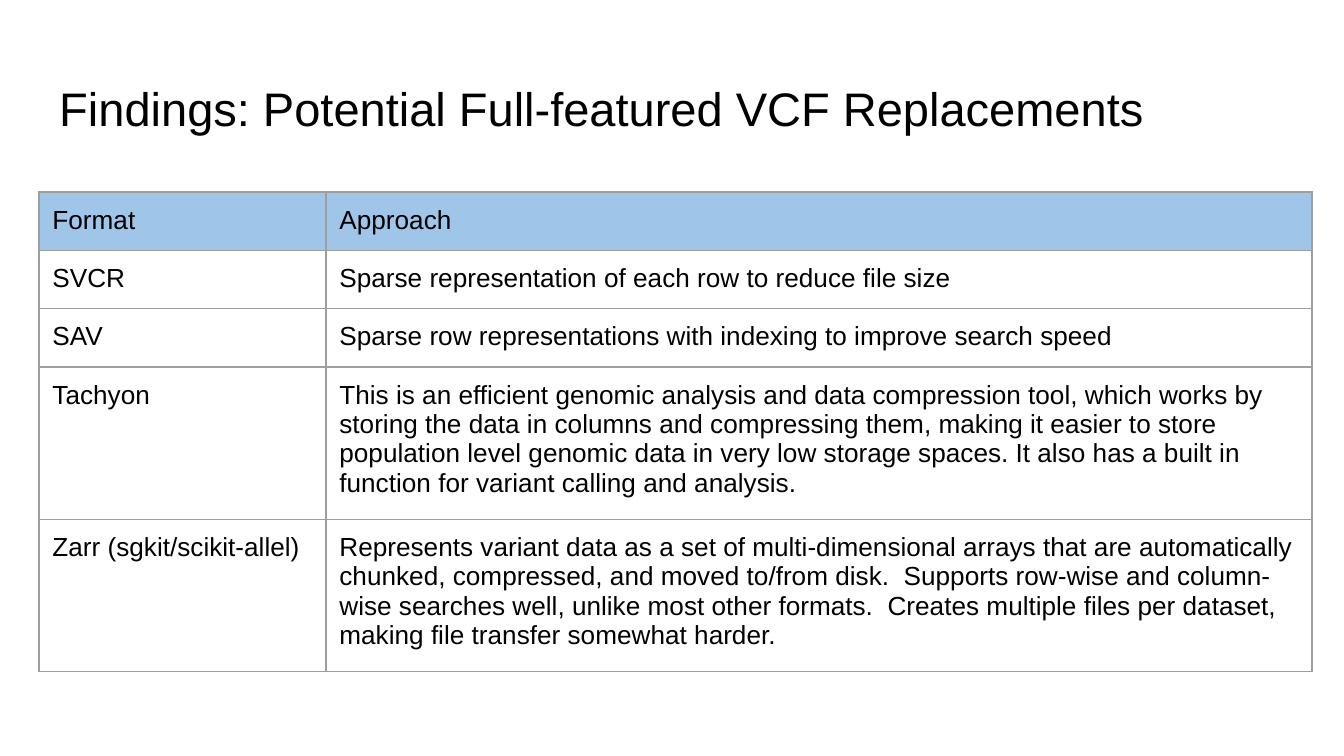
from pptx import Presentation
from pptx.dml.color import RGBColor
from pptx.enum.text import MSO_ANCHOR
from pptx.oxml import parse_xml
from pptx.oxml.ns import nsdecls
from pptx.util import Pt

TOP = MSO_ANCHOR.TOP
SCALE = 914400 / 134.4
PAD = 13.44
INK, HEAD, PLAIN, RULE = "000000", "9FC5E8", "FFFFFF", "9E9E9E"


def px(n):
    return round(n * SCALE)


def put(frame, text, size=14, color=INK, font="Arial"):
    frame.word_wrap = True
    run = frame.paragraphs[0].add_run()
    run.text = text
    run.font.size = Pt(size)
    run.font.name = font
    run.font.color.rgb = RGBColor.from_string(color)


deck = Presentation()
deck.slide_width, deck.slide_height = px(1344), px(756)
slide = deck.slides.add_slide(deck.slide_layouts[6])

# Title
title = slide.shapes.add_textbox(px(46), px(66), px(1252), px(84)).text_frame
title.margin_left = title.margin_right = px(PAD)
title.margin_top = title.margin_bottom = px(PAD)
title.vertical_anchor = TOP
put(title, "Findings: Potential Full-featured VCF Replacements", size=25.2)

# Table of formats
rows = [
    ("Format", "Approach"),
    ("SVCR", "Sparse representation of each row to reduce file size"),
    ("SAV", "Sparse row representations with indexing to improve search speed"),
    ("Tachyon",
     "This is an efficient genomic analysis and data compression tool, which "
     "works by storing the data in columns and compressing them, making it "
     "easier to store population level genomic data in very low storage "
     "spaces. It also has a built in function for variant calling and analysis."),
    ("Zarr (sgkit/scikit-allel)",
     "Represents variant data as a set of multi-dimensional arrays that are "
     "automatically chunked, compressed, and moved to/from disk.  Supports "
     "row-wise and column-wise searches well, unlike most other formats.  "
     "Creates multiple files per dataset, making file transfer somewhat harder."),
]
widths = [287, 986]
heights = [58, 58, 58, 144, 144]
table = slide.shapes.add_table(len(rows), len(widths), px(39), px(192),
                               px(sum(widths)), px(sum(heights))).table
table.horz_banding = False
for col, width in zip(table.columns, widths):
    col.width = px(width)

for r, (row, height) in enumerate(zip(rows, heights)):
    table.rows[r].height = px(height)
    for c, text in enumerate(row):
        cell = table.cell(r, c)
        cell.margin_left = cell.margin_right = px(PAD)
        cell.margin_top = cell.margin_bottom = px(PAD)
        cell.vertical_anchor = TOP
        put(cell.text_frame, text)
        # Borders come before the fill in the cell properties
        props = cell._tc.get_or_add_tcPr()
        for side in ("lnL", "lnR", "lnT", "lnB"):
            props.append(parse_xml(
                f'<a:{side} {nsdecls("a")} w="{Pt(0.75)}"><a:solidFill>'
                f'<a:srgbClr val="{RULE}"/></a:solidFill></a:{side}>'))
        cell.fill.solid()
        cell.fill.fore_color.rgb = RGBColor.from_string(PLAIN if r else HEAD)

deck.save("out.pptx")
